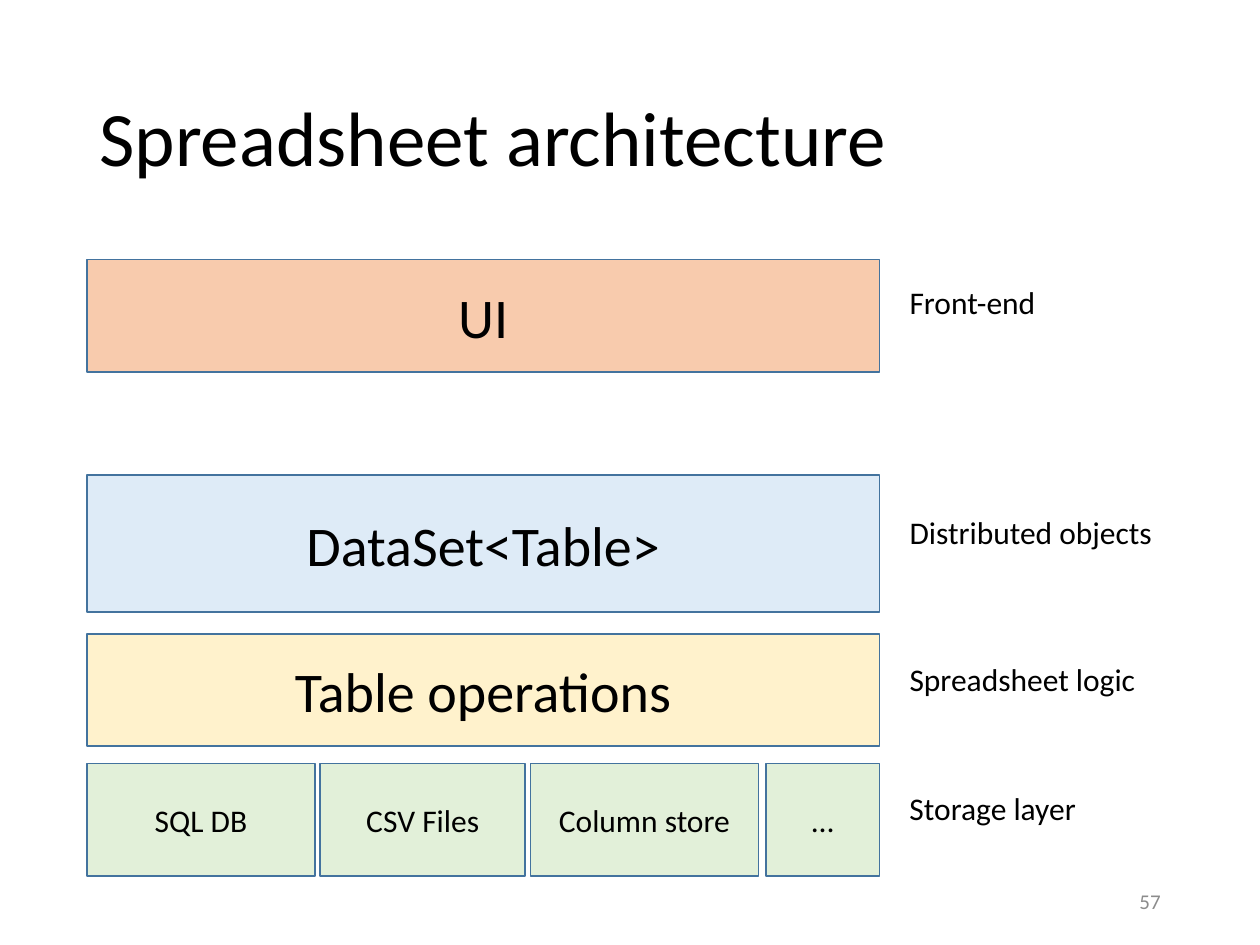
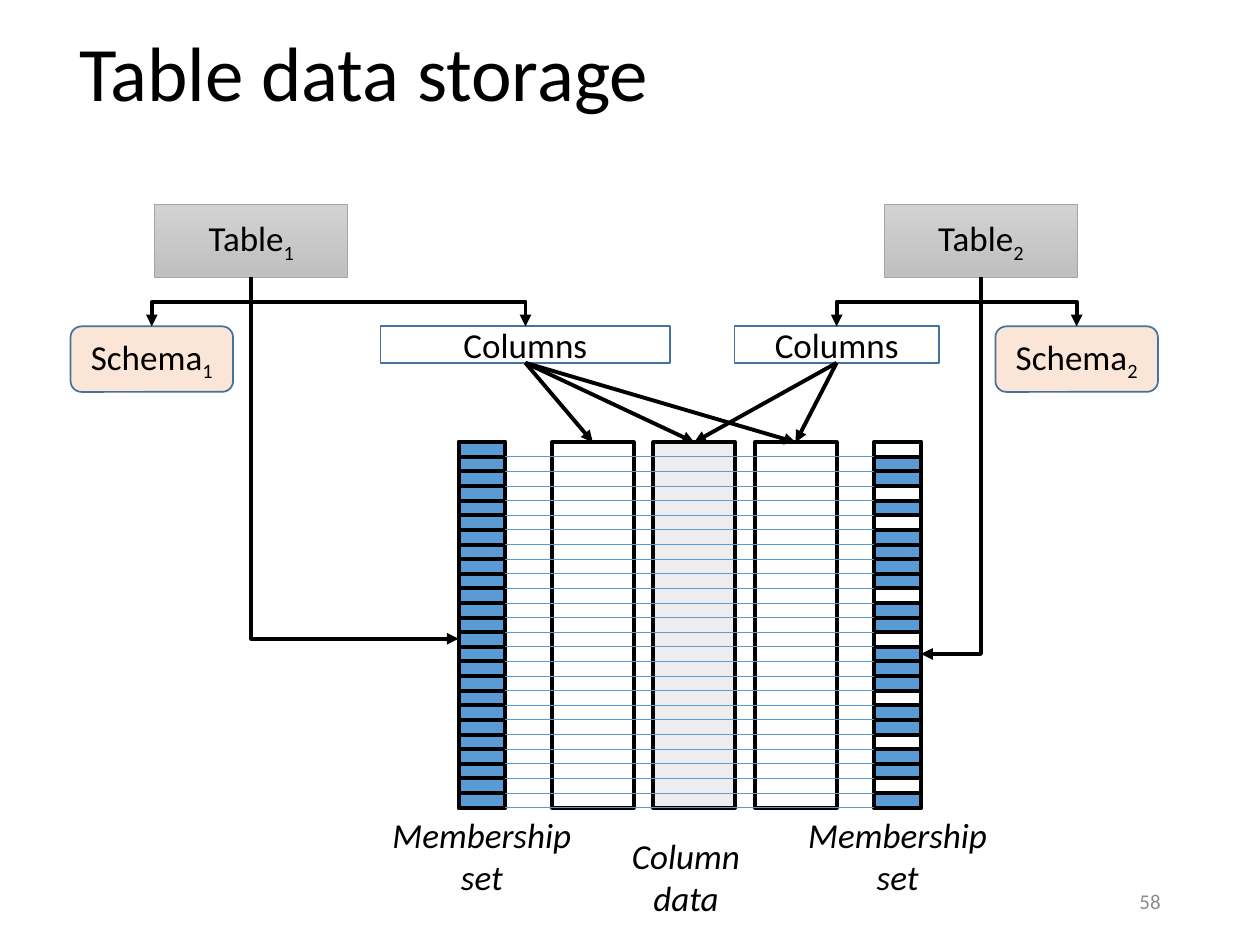
import pptx
import pptx.util
import pptx.dml.color
import pptx.enum.shapes
import pptx.enum.text
import pptx.oxml.ns
import lxml.etree

Inches = pptx.util.Inches
Pt = pptx.util.Pt
RGB = pptx.dml.color.RGBColor.from_string
SHAPE = pptx.enum.shapes.MSO_SHAPE
CONNECTOR = pptx.enum.shapes.MSO_CONNECTOR
ALIGN = pptx.enum.text.PP_ALIGN
ANCHOR = pptx.enum.text.MSO_ANCHOR
qn = pptx.oxml.ns.qn

FONT = "Calibri"
COLORS = {
    "text": "000000", "number": "8C8C8C", "border": "43739E", "white": "FFFFFF",
    "ui": "F8CBAD", "dataset": "DEEBF7", "operations": "FFF2CC", "storage": "E2F0D9",
    "schema": "FBE5D6", "member": "5B9BD5", "column": "EDEDED",
    "table_top": "D2D2D2", "table_bottom": "C0C0C0", "table_border": "A5A5A5",
}


def add_box(slide, box, text="", size=18, kind=None, fill=None, border="border",
            border_width=1, color="text", align=ALIGN.CENTER, anchor=ANCHOR.MIDDLE,
            wrap=True, italic=False, spacing=None, subscript=""):
    """Add a text box, or a preset shape when kind is given."""
    place = [Inches(value) for value in box]
    if kind is None:
        shape = slide.shapes.add_textbox(*place)
    else:
        shape = slide.shapes.add_shape(kind, *place)
        shape.shadow.inherit = False
        shape.line.color.rgb = RGB(COLORS[border])
        shape.line.width = Pt(border_width)
        if fill:
            shape.fill.solid()
            shape.fill.fore_color.rgb = RGB(COLORS[fill])
        else:
            shape.fill.background()
    if text:
        frame = shape.text_frame
        frame.text = text
        frame.word_wrap = wrap
        frame.vertical_anchor = anchor
        for paragraph in frame.paragraphs:
            paragraph.alignment = align
            paragraph.line_spacing = spacing
            paragraph.font.name = FONT
            paragraph.font.size = Pt(size)
            paragraph.font.italic = italic
            paragraph.font.color.rgb = RGB(COLORS[color])
        if subscript:
            run = frame.paragraphs[0].add_run()
            run.text = subscript
            run._r.get_or_add_rPr().set("baseline", "-25000")
    return shape


def add_line(slide, start, end, color="text", width=2.25, arrow=True, bend=None):
    """Add a line; a bend names an elbow preset that leaves its start downwards."""
    (x1, y1), (x2, y2) = start, end
    if bend:
        # An elbow that starts downwards is a horizontal one turned about its centre
        run, rise = abs(y2 - y1), abs(x2 - x1)
        left, top = (x1 + x2 - run) / 2, (y1 + y2 - rise) / 2
        connector = slide.shapes.add_connector(
            CONNECTOR.ELBOW, Inches(left), Inches(top), Inches(left + run), Inches(top + rise))
        properties = connector.element.spPr
        properties.find(qn("a:prstGeom")).set("prst", bend)
        transform = properties.find(qn("a:xfrm"))
        transform.set("rot", str((270 if x2 > x1 else 90) * 60000))
        if x2 > x1:
            transform.set("flipH", "1")
    else:
        connector = slide.shapes.add_connector(
            CONNECTOR.STRAIGHT, Inches(x1), Inches(y1), Inches(x2), Inches(y2))
        properties = connector.element.spPr
    connector.line.color.rgb = RGB(COLORS[color])
    connector.line.width = Pt(width)
    if arrow:
        lxml.etree.SubElement(properties.find(qn("a:ln")), qn("a:tailEnd"), type="triangle")
    lxml.etree.SubElement(properties, qn("a:effectLst"))


presentation = pptx.Presentation()
presentation.slide_width = Inches(10)
presentation.slide_height = Inches(7.5)

# Shared title and slide number
slides = []
for title, title_box, number in [
    ("Spreadsheet architecture", (0.69, 0.4, 8.62, 1.45), "57"),
    ("Table data storage", (0.53, 0.01, 8.62, 1.2), "58"),
]:
    slide = presentation.slides.add_slide(presentation.slide_layouts[6])
    add_box(slide, title_box, title, 44, align=ALIGN.LEFT, spacing=0.9)
    add_box(slide, (7.06, 6.95, 2.25, 0.4), number, 12, color="number", align=ALIGN.RIGHT)
    slides.append(slide)
architecture, storage = slides

# Architecture layers
for text, top, height, fill in [
    ("UI", 2.06, 0.89, "ui"),
    ("DataSet<Table>", 3.77, 1.09, "dataset"),
    ("Table operations", 5.03, 0.89, "operations"),
]:
    add_box(architecture, (0.69, top, 6.29, height), text, 32, SHAPE.RECTANGLE, fill)

# Storage back ends
for text, left, width in [
    ("SQL DB", 0.69, 1.81), ("CSV Files", 2.54, 1.63),
    ("Column store", 4.21, 1.81), ("…", 6.08, 0.9),
]:
    add_box(architecture, (left, 6.06, width, 0.89), text, 18, SHAPE.RECTANGLE, "storage",
            wrap=False)

# Layer labels
for text, top, width in [
    ("Front-end", 2.2, 1.22), ("Distributed objects", 4.02, 2.15),
    ("Spreadsheet logic", 5.19, 2.02), ("Storage layer", 6.21, 1.54),
]:
    add_box(architecture, (7.12, top, width, 0.4), text, align=ALIGN.LEFT,
            anchor=ANCHOR.TOP, wrap=False)

# Column data
GRID_TOP, GRID_HEIGHT, ROWS = 3.51, 2.9, 25
ROW_HEIGHT = GRID_HEIGHT / ROWS
COLUMN_WIDTH = 0.65
column_tops = []
for index, fill in enumerate([None, "column", None]):
    left = 4.38 + index * 0.805
    add_box(storage, (left, GRID_TOP, COLUMN_WIDTH, GRID_HEIGHT), kind=SHAPE.RECTANGLE,
            fill=fill, border="text", border_width=2.25)
    column_tops.append((left + COLUMN_WIDTH / 2, GRID_TOP))
add_box(storage, (4.91, 6.57, 1.07, 0.77), "Column\ndata", 20, anchor=ANCHOR.TOP,
        wrap=False, italic=True)

# Membership sets: rows outside the set are white
MEMBER_WIDTH = 0.37
for left, absent_rows in [(3.64, ()), (6.94, (0, 3, 5, 10, 13, 17, 20, 23))]:
    add_box(storage, (left, GRID_TOP, MEMBER_WIDTH, GRID_HEIGHT), kind=SHAPE.RECTANGLE,
            fill="member", border="text", border_width=2.25)
    for row in range(ROWS):
        add_box(storage, (left, GRID_TOP + row * ROW_HEIGHT, MEMBER_WIDTH, ROW_HEIGHT),
                kind=SHAPE.RECTANGLE, fill="white" if row in absent_rows else "member",
                border="text", border_width=2.25)
    add_box(storage, (left - 0.63, 6.41, 1.63, 0.77), "Membership\nset", 20,
            anchor=ANCHOR.TOP, wrap=False, italic=True)

# Tables with their schema, columns and membership set
for number, table_left, schema_left, columns_left, columns_width, used, member in [
    ("1", 1.23, 0.56, 3.02, 2.3, column_tops, (3.64, 5.07)),
    ("2", 7.02, 7.9, 5.83, 1.62, column_tops[1:], (7.31, 5.19)),
]:
    table = add_box(storage, (table_left, 1.62, 1.53, 0.58), "Table", 20, SHAPE.RECTANGLE,
                    border="table_border", border_width=0.5, subscript=number)
    table.fill.gradient()
    table.fill.gradient_angle = 270
    for stop, color in zip(table.fill.gradient_stops, ("table_top", "table_bottom")):
        stop.color.rgb = RGB(COLORS[color])
    add_box(storage, (schema_left, 2.59, 1.29, 0.52), "Schema", 20, SHAPE.ROUNDED_RECTANGLE,
            "schema", wrap=False, subscript=number)
    add_box(storage, (columns_left, 2.59, columns_width, 0.29), "Columns", 20,
            SHAPE.RECTANGLE, "white")

    table_bottom = (table_left + 0.765, 2.2)
    columns_middle = columns_left + columns_width / 2
    add_line(storage, table_bottom, (schema_left + 0.645, 2.59), bend="bentConnector3")
    add_line(storage, table_bottom, (columns_middle, 2.59), bend="bentConnector3")
    add_line(storage, table_bottom, member, bend="bentConnector2")
    for column_top in used:
        add_line(storage, (columns_middle, 2.88), column_top)

# Row lines across the columns
for row in range(1, ROWS + 1):
    y = GRID_TOP + row * ROW_HEIGHT
    add_line(storage, (4.01, y), (6.94, y), "member", 0.5, arrow=False)

presentation.save("out.pptx")
